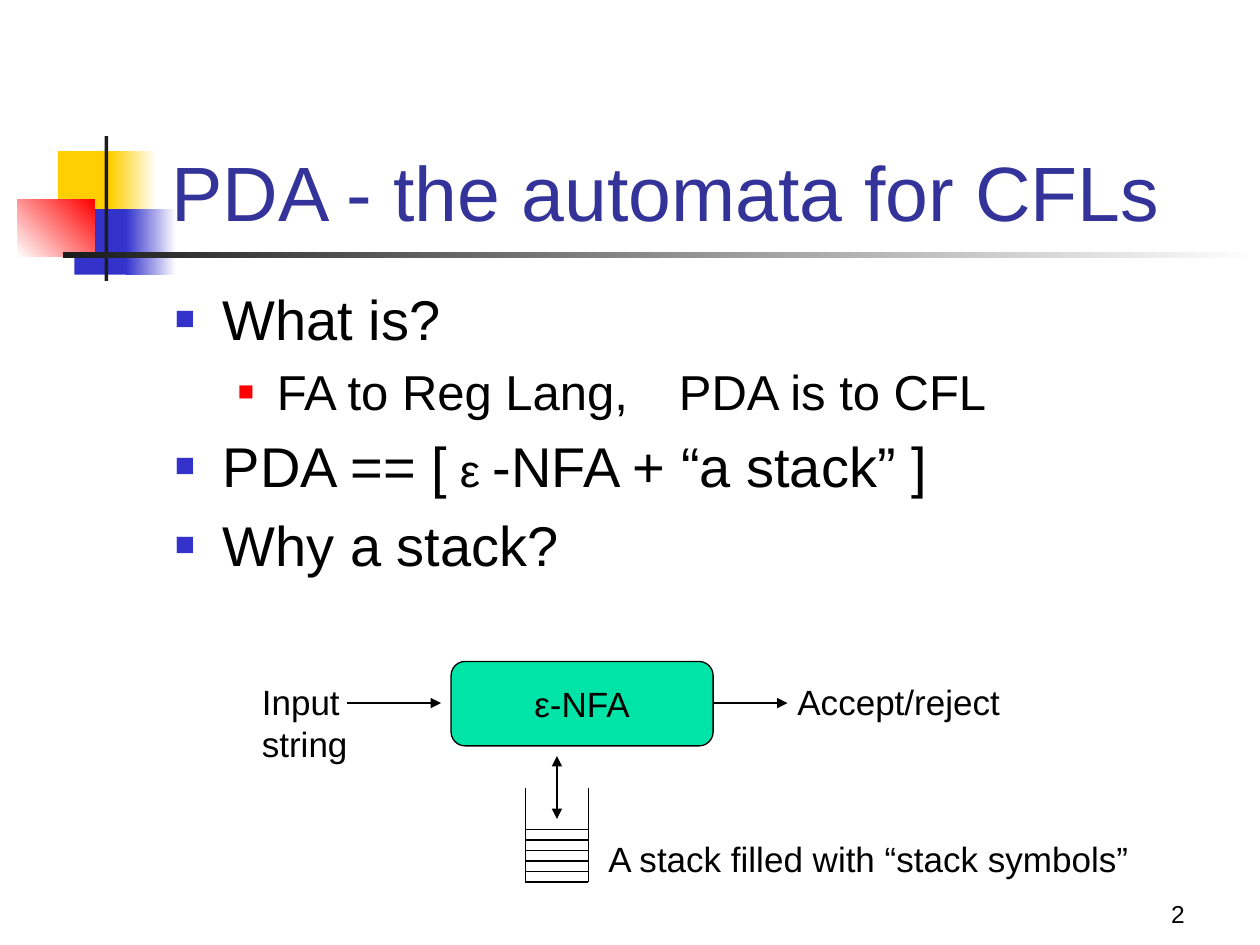
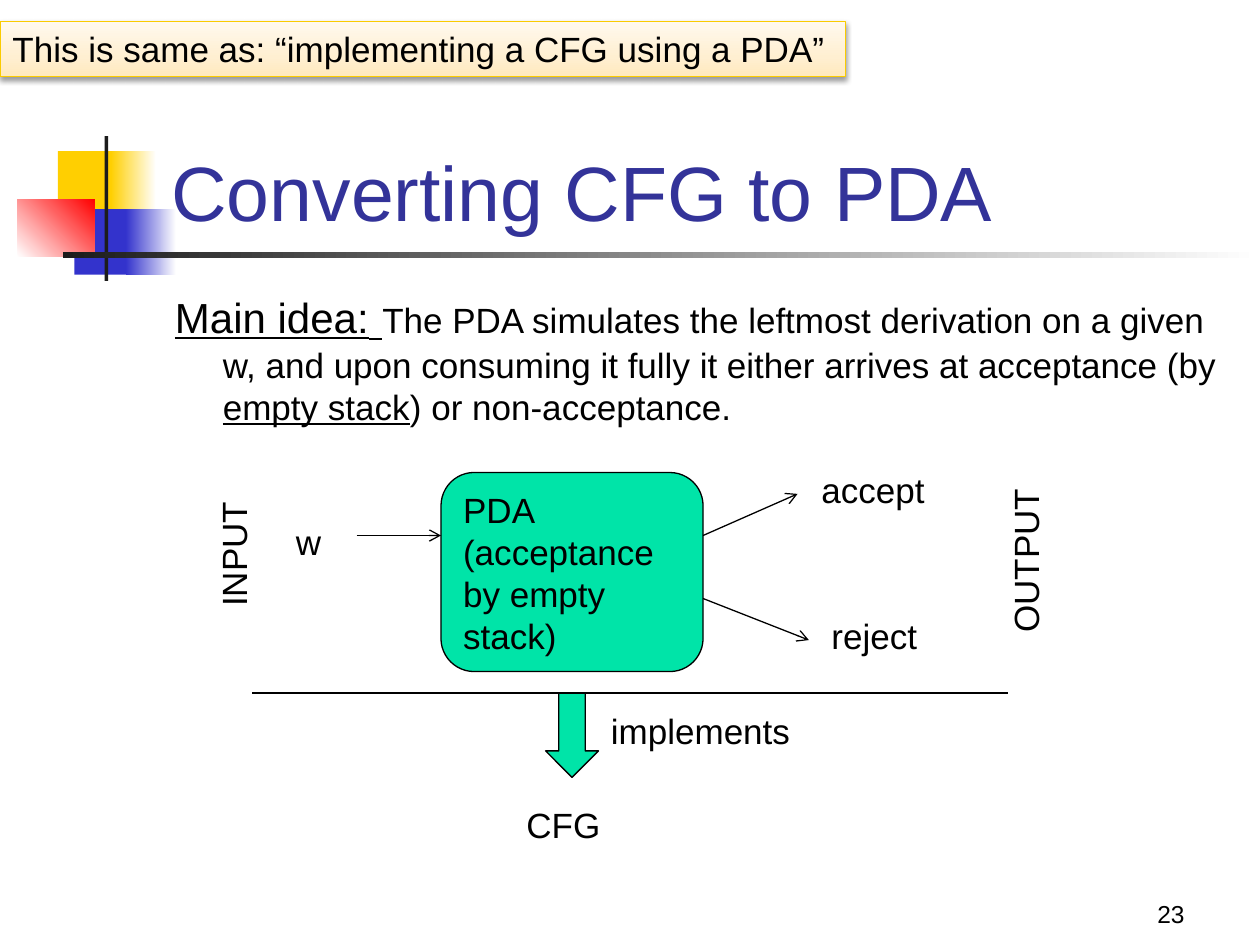
from dataclasses import dataclass
from typing import NamedTuple, Optional

from lxml import etree
from pptx import Presentation
from pptx import slide as sl
from pptx import util as u
from pptx.dml.color import RGBColor
from pptx.enum import shapes, text
from pptx.oxml.ns import qn

Box = tuple[float, float, float, float]
Point = tuple[float, float]
Stops = list[tuple[int, str]]
SHAPE = shapes.MSO_SHAPE
ANCHOR = text.MSO_ANCHOR
ALIGN = text.PP_ALIGN
FIT = text.MSO_AUTO_SIZE


@dataclass(frozen=True)
class Theme:
    font: str = "Arial"
    ink: str = "000000"
    title: str = "333399"
    yellow: str = "FFCF01"
    blue: str = "3333CC"
    red: str = "FF0000"
    bar: str = "1C1C1C"
    white: str = "FFFFFF"
    green: str = "00E4A8"
    gold: str = "FACB00"
    title_size: float = 44
    body_size: float = 32
    sub_size: float = 28
    epsilon_size: float = 26
    lead_size: float = 24
    label_size: float = 20
    number_size: float = 14
    line_width: float = 0.75


T = Theme()


class Run(NamedTuple):
    words: str
    size: float = T.label_size
    underline: bool = False
    color: str = T.ink


class Bullet(NamedTuple):
    color: str
    percent: int


class Para(NamedTuple):
    runs: list[Run]
    margin: float = 0.38
    indent: float = -0.38
    level: int = 0
    bullet: Optional[Bullet] = None


class Deco(NamedTuple):
    box: Box
    stops: Stops
    angle: float = 0


class Label(NamedTuple):
    words: list[str]
    box: Box
    rotation: float = 0


class Line(NamedTuple):
    start: Point
    end: Point
    head: Optional[str] = None
    tail: Optional[str] = None


MOTIF = [
    Deco((0.46, 1.2, 0.48, 0.52), [(0, T.yellow)]),
    Deco((0.88, 1.2, 0.36, 0.52), [(0, T.yellow), (100, T.white)]),
    Deco((0.59, 1.66, 0.46, 0.52), [(0, T.blue)]),
    Deco((1, 1.66, 0.4, 0.52), [(0, T.blue), (100, T.white)]),
    Deco((0.14, 1.58, 0.61, 0.46), [(0, T.white), (100, T.red)], 45),
    Deco((0.83, 1.08, 0.03, 1.15), [(0, T.bar)]),
    Deco((0.5, 2, 9.5, 0.05), [(0, T.bar), (100, T.white)]),
]


def inches(values: tuple[float, ...]) -> list[u.Length]:
    return [u.Inches(v) for v in values]


def add_run(p, run: Run) -> None:
    r = p.add_run()
    r.text = run.words
    r.font.name = T.font
    r.font.size = u.Pt(run.size)
    r.font.color.rgb = RGBColor.from_string(run.color)
    if run.underline:
        r.font.underline = True


def paint(sp, stops: Stops, angle: float = 0) -> None:
    if len(stops) == 1:
        sp.fill.solid()
        sp.fill.fore_color.rgb = RGBColor.from_string(stops[0][1])
        return
    sp.fill.gradient()
    sp.fill.gradient_angle = angle
    gs_list = sp._element.spPr.find(qn("a:gradFill")).find(qn("a:gsLst"))
    for gs in list(gs_list):
        gs_list.remove(gs)
    for position, color in stops:
        gs = etree.SubElement(gs_list, qn("a:gs"), pos=str(position * 1000))
        etree.SubElement(gs, qn("a:srgbClr"), val=color)


def add_shape(slide: sl.Slide, kind, box: Box, stops: Stops, angle: float = 0,
              outline: Optional[str] = None):
    sp = slide.shapes.add_shape(kind, *inches(box))
    paint(sp, stops, angle)
    if outline:
        sp.line.color.rgb = RGBColor.from_string(outline)
        sp.line.width = u.Pt(T.line_width)
    else:
        sp.line.fill.background()
    sp.shadow.inherit = False
    return sp


def add_shadow(sp) -> None:
    effects = sp._element.spPr.find(qn("a:effectLst"))
    shadow = etree.SubElement(effects, qn("a:outerShdw"), blurRad=str(u.Pt(3.1)),
                              dist=str(u.Pt(1.6)), dir="5400000", rotWithShape="0")
    color = etree.SubElement(shadow, qn("a:srgbClr"), val=T.ink)
    etree.SubElement(color, qn("a:alpha"), val="38000")


def add_line(slide: sl.Slide, line: Line) -> None:
    c = slide.shapes.add_connector(shapes.MSO_CONNECTOR.STRAIGHT,
                                   *inches(line.start), *inches(line.end))
    c.line.color.rgb = RGBColor.from_string(T.ink)
    c.line.width = u.Pt(T.line_width)
    ln = c.line._get_or_add_ln()
    for tag, kind in (("a:headEnd", line.head), ("a:tailEnd", line.tail)):
        if kind:
            etree.SubElement(ln, qn(tag), type=kind)
    etree.SubElement(c._element.spPr, qn("a:effectLst"))


def write(sp, lines: list[str], align=ALIGN.LEFT, anchor=ANCHOR.TOP,
          wrap: bool = False) -> None:
    tf = sp.text_frame
    tf.word_wrap = wrap
    tf.vertical_anchor = anchor
    for i, words in enumerate(lines):
        p = tf.add_paragraph() if i else tf.paragraphs[0]
        p.alignment = align
        add_run(p, Run(words))


def add_label(slide: sl.Slide, label: Label) -> None:
    sp = slide.shapes.add_textbox(*inches(label.box))
    write(sp, label.words)
    sp.text_frame.auto_size = FIT.SHAPE_TO_FIT_TEXT
    sp.rotation = label.rotation


def add_body(slide: sl.Slide, height: float, paras: list[Para]) -> None:
    tf = slide.shapes.add_textbox(*inches((1.29, 2.21, 8.5, height))).text_frame
    tf.word_wrap = True
    for i, para in enumerate(paras):
        p = tf.add_paragraph() if i else tf.paragraphs[0]
        p.level = para.level
        p.space_before = u.Pt(0.2 * max(run.size for run in para.runs))
        pPr = p._p.get_or_add_pPr()
        pPr.set("marL", str(u.Inches(para.margin)))
        pPr.set("indent", str(u.Inches(para.indent)))
        if para.bullet:
            color = etree.SubElement(pPr, qn("a:buClr"))
            etree.SubElement(color, qn("a:srgbClr"), val=para.bullet.color)
            etree.SubElement(pPr, qn("a:buSzPct"), val=str(para.bullet.percent * 1000))
            etree.SubElement(pPr, qn("a:buFont"), typeface=T.font)
            etree.SubElement(pPr, qn("a:buChar"), char="■")
        for run in para.runs:
            add_run(p, run)


def new_slide(prs, title: str, number: int) -> sl.Slide:
    slide = prs.slides.add_slide(prs.slide_layouts[5])
    for deco in MOTIF:
        add_shape(slide, SHAPE.RECTANGLE, deco.box, deco.stops, deco.angle)

    tf = slide.shapes.add_textbox(*inches((7.42, 6.92, 2.08, 0.5))).text_frame
    tf.word_wrap = True
    tf.vertical_anchor = ANCHOR.BOTTOM
    tf.paragraphs[0].alignment = ALIGN.RIGHT
    add_run(tf.paragraphs[0], Run(str(number), T.number_size))

    sp = slide.shapes.title
    sp.left, sp.top, sp.width, sp.height = inches((1.26, 0.68, 8.52, 1.25))
    tf = sp.text_frame
    tf.word_wrap = True
    tf.auto_size = FIT.NONE
    tf.vertical_anchor = ANCHOR.BOTTOM
    tf.paragraphs[0].alignment = ALIGN.LEFT
    add_run(tf.paragraphs[0], Run(title, T.title_size, color=T.title))
    slide.shapes._spTree.append(sp._element)
    return slide


def build_automata(prs) -> None:
    slide = new_slide(prs, "PDA - the automata for CFLs", 2)
    main = Bullet(T.blue, 60)
    add_body(slide, 4.5, [
        Para([Run("What is?", T.body_size)], bullet=main),
        Para([Run("FA to Reg Lang, \tPDA is to CFL", T.sub_size)],
             0.81, -0.31, 1, Bullet(T.red, 55)),
        Para([Run("PDA == [", T.body_size), Run(" ε ", T.epsilon_size),
              Run("-NFA + “a stack” ]", T.body_size)], bullet=main),
        Para([Run("Why a stack?", T.body_size)], bullet=main),
    ])
    nfa = add_shape(slide, SHAPE.ROUNDED_RECTANGLE, (3.58, 5.25, 2.08, 0.67),
                    [(0, T.green)], outline=T.ink)
    write(nfa, ["ε-NFA"], ALIGN.CENTER, ANCHOR.MIDDLE)

    left, right, top, bottom = 4.17, 4.67, 6.25, 7
    middle = (left + right) / 2
    walls = [Line((x, top), (x, bottom)) for x in (left, right)]
    levels = [bottom - i / 12 for i in range(6)]
    cells = [Line((left, y), (right, y)) for y in levels]
    arrows = [
        Line((2.75, 5.58), (3.5, 5.58), tail="triangle"),
        Line((5.67, 5.58), (6.25, 5.58), tail="triangle"),
        Line((middle, 6), (middle, 6.5), "triangle", "triangle"),
    ]
    for line in walls + cells + arrows:
        add_line(slide, line)
    for label in (
        Label(["A stack filled with “stack symbols”"], (4.73, 6.6, 4.34, 0.43)),
        Label(["Input", "string"], (1.98, 5.35, 0.88, 0.77)),
        Label(["Accept/reject"], (6.23, 5.35, 1.81, 0.43)),
    ):
        add_label(slide, label)


def build_conversion(prs) -> None:
    slide = new_slide(prs, "Converting CFG to PDA", 23)
    add_body(slide, 1.38, [Para([
        Run("Main idea:", T.lead_size, True),
        Run(" ", T.sub_size, True),
        Run("The PDA simulates the leftmost derivation on a given w, and upon "
            "consuming it fully it either arrives at acceptance (by "),
        Run("empty stack", underline=True),
        Run(") or non-acceptance."),
    ])])
    banner = add_shape(slide, SHAPE.RECTANGLE, (0, 0.17, 6.71, 0.44),
                       [(0, "FFE9BD"), (35, "FFEFD1"), (100, "FFF9EE")], 90, T.gold)
    add_shadow(banner)
    write(banner, ["This is same as: “implementing a CFG using a PDA”"])
    banner.text_frame.auto_size = FIT.SHAPE_TO_FIT_TEXT

    pda = add_shape(slide, SHAPE.ROUNDED_RECTANGLE, (3.5, 3.75, 2.08, 1.58),
                    [(0, T.green)], outline=T.ink)
    write(pda, ["PDA"], wrap=True)
    p = pda.text_frame.paragraphs[0]
    p.add_line_break()
    add_run(p, Run("(acceptance by empty stack)"))
    add_shape(slide, SHAPE.DOWN_ARROW, (4.33, 5.5, 0.42, 0.67),
              [(0, T.green)], outline=T.ink)

    for line in (
        Line((2.83, 4.25), (3.5, 4.25), tail="arrow"),
        Line((5.58, 4.25), (6.33, 3.92), tail="arrow"),
        Line((5.58, 4.75), (6.42, 5.08), tail="arrow"),
        Line((2, 5.5), (8, 5.5)),
    ):
        add_line(slide, line)
    for label in (
        Label(["CFG"], (4.08, 6.33, 0.8, 0.44)),
        Label(["w"], (2.25, 4.08, 0.4, 0.44)),
        Label(["accept"], (6.42, 3.67, 1.03, 0.44)),
        Label(["reject"], (6.5, 4.83, 0.89, 0.44)),
        Label(["implements"], (4.75, 5.58, 1.64, 0.44)),
        Label(["INPUT"], (1.33, 4.17, 1.05, 0.44), 270),
        Label(["OUTPUT"], (7.46, 4.22, 1.36, 0.44), 270),
    ):
        add_label(slide, label)


prs = Presentation()
prs.slide_width, prs.slide_height = inches((10, 7.5))
build_automata(prs)
build_conversion(prs)
prs.save("out.pptx")
